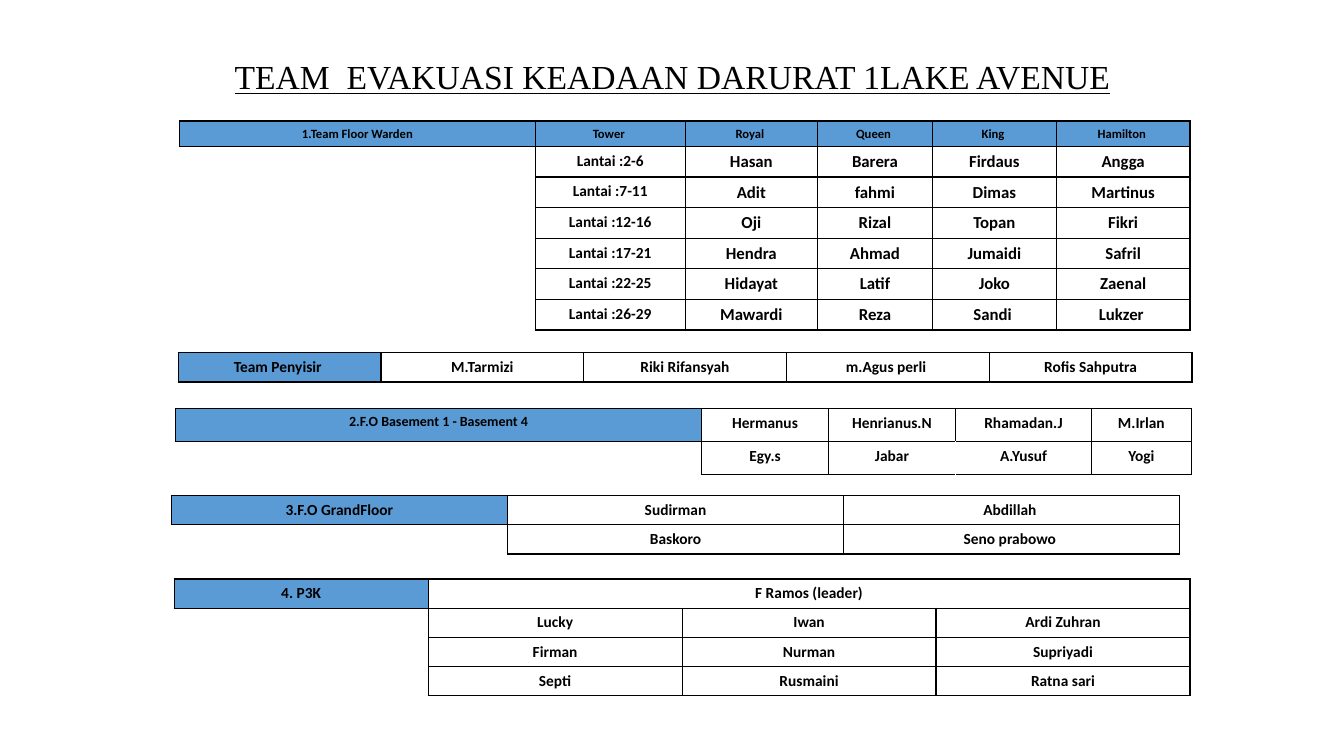
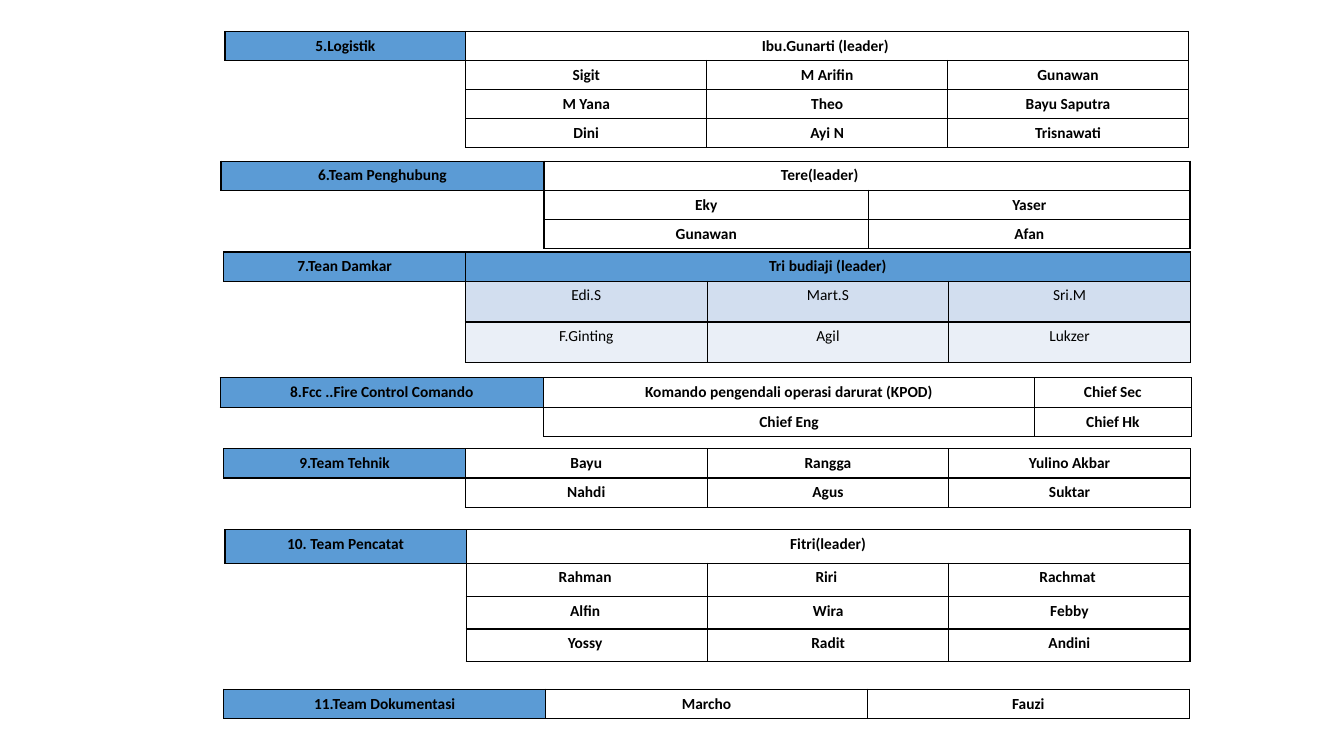
from lxml import etree
from pptx import Presentation
from pptx.dml.color import RGBColor
from pptx.enum.text import MSO_ANCHOR, PP_ALIGN
from pptx.oxml.ns import qn
from pptx.util import Cm, Pt

CENTER, RIGHT = PP_ALIGN.CENTER, PP_ALIGN.RIGHT
MIDDLE = MSO_ANCHOR.MIDDLE
BLACK, WHITE, BLUE = "000000", "FFFFFF", "5B9BD5"
PALE_BLUES = ("D2DEEF", "EAEFF7")
TITLE_FONT, TABLE_FONT = "Times New Roman", "Calibri"
PLAIN_TABLE_STYLE = "{2D5ABB26-0587-4C30-8999-92F81FD0307C}"
TITLE_ONLY, BLANK = 5, 6
ROW_HEIGHT = 0.73


def rgb(color):
    return RGBColor.from_string(color)


def set_borders(cell, colors):
    """Draw 1 pt cell edges; colors maps L, R, T and B to a hex colour, other edges are hidden."""
    properties = cell._tc.get_or_add_tcPr()
    for side in "LRTB":
        line = etree.SubElement(properties, qn(f"a:ln{side}"), w=str(Pt(1)))
        if side in colors:
            fill = etree.SubElement(line, qn("a:solidFill"))
            etree.SubElement(fill, qn("a:srgbClr"), val=colors[side])
        else:
            etree.SubElement(line, qn("a:noFill"))


# Lengths are centimetres. None marks an empty cell; a leader shares an open band in row 0.
floor_teams = [
    dict(
        at=(4.52, 3.05), columns=[8.97, 3.78, 3.33, 2.9, 3.12, 3.37],
        heights=[0.64] + [0.77] * 6, header_columns=6,
        size=lambda row, column: 9 if row == 0 else 11 if column == 1 else 12,
        rows=[
            ["1.Team Floor Warden", "Tower ", "Royal ", "Queen ", "King ", "Hamilton "],
            [None, "Lantai :2-6", "Hasan", "Barera", "Firdaus", "Angga"],
            [None, "Lantai :7-11", "Adit", "fahmi", "Dimas", "Martinus"],
            [None, "Lantai :12-16", "Oji", "Rizal", "Topan", "Fikri"],
            [None, "Lantai :17-21", "Hendra", "Ahmad", "Jumaidi", "Safril"],
            [None, "Lantai :22-25", "Hidayat", "Latif", "Joko", "Zaenal"],
            [None, "Lantai :26-29", "Mawardi", "Reza", "Sandi ", "Lukzer "],
        ],
    ),
    dict(
        at=(4.49, 8.89), columns=[5.11] * 5,
        rows=[["Team Penyisir ", "M.Tarmizi", "Riki Rifansyah", "m.Agus perli ", "Rofis Sahputra"]],
    ),
    dict(
        at=(4.42, 10.29), columns=[13.26, 3.2, 3.2, 3.43, 2.51], heights=[0.83, 0.84],
        size=lambda row, column: 10 if column == 0 else 11,
        white_edges={(1, 2): "R", (1, 3): "L"},
        rows=[
            ["2.F.O Basement 1 - Basement 4", "Hermanus", "Henrianus.N", "Rhamadan.J", "M.Irlan"],
            [None, "Egy.s", "Jabar", "A.Yusuf", "Yogi"],
        ],
    ),
    dict(
        at=(4.32, 12.49), columns=[8.47] * 3,
        rows=[
            ["3.F.O GrandFloor", "Sudirman", "Abdillah "],
            [None, "Baskoro", "Seno prabowo "],
        ],
    ),
    dict(
        at=(4.39, 14.59), columns=[6.4] * 4,
        rows=[
            ["4. P3K", None, "F Ramos (leader)", None],
            [None, "Lucky", "Iwan", "Ardi Zuhran"],
            [None, "Firman", "Nurman", "Supriyadi"],
            [None, "Septi", "Rusmaini", "Ratna sari"],
        ],
    ),
]

support_teams = [
    dict(
        at=(5.67, 0.79), columns=[6.07] * 4,
        rows=[
            ["5.Logistik", None, "Ibu.Gunarti (leader) ", None],
            [None, "Sigit", "M Arifin", "Gunawan"],
            [None, "M Yana", "Theo", "Bayu Saputra"],
            [None, "Dini", "Ayi N", "Trisnawati"],
        ],
    ),
    dict(
        at=(5.57, 4.06), columns=[8.14, 8.18, 8.1], leader=RIGHT,
        rows=[
            ["6.Team Penghubung", "Tere(leader)", None],
            [None, "Eky", "Yaser"],
            [None, "Gunawan", "Afan"],
        ],
    ),
    dict(
        at=(5.64, 6.35), columns=[6.09] * 4, heights=[ROW_HEIGHT, 1.03, 1.02],
        header_columns=4, bands=PALE_BLUES,
        rows=[
            ["7.Tean Damkar", None, "Tri budiaji (leader)", None],
            [None, "Edi.S", "Mart.S", "Sri.M"],
            [None, "F.Ginting", "Agil", "Lukzer"],
        ],
    ),
    dict(
        at=(5.55, 9.52), columns=[8.15, 12.37, 3.95], heights=[0.74, ROW_HEIGHT],
        rows=[
            ["8.Fcc ..Fire Control Comando", "Komando pengendali operasi darurat (KPOD)", "Chief Sec"],
            [None, "Chief Eng", "Chief Hk"],
        ],
    ),
    dict(
        at=(5.64, 11.31), columns=[6.09] * 4,
        rows=[
            ["9.Team Tehnik", "Bayu", "Rangga", "Yulino Akbar"],
            [None, "Nahdi", "Agus", "Suktar"],
        ],
    ),
    dict(
        at=(5.67, 13.35), columns=[6.08] * 4, heights=[0.84, 0.84, 0.82, 0.82],
        rows=[
            ["10. Team Pencatat", None, "Fitri(leader)", None],
            [None, "Rahman ", "Riri ", "Rachmat "],
            [None, "Alfin ", "Wira", "Febby"],
            [None, "Yossy ", "Radit", "Andini"],
        ],
    ),
    dict(
        at=(5.64, 17.37), columns=[8.11] * 3,
        rows=[["11.Team Dokumentasi", "Marcho", "Fauzi"]],
    ),
]

presentation = Presentation()
presentation.slide_width, presentation.slide_height = Cm(33.87), Cm(19.05)

floor_slide = presentation.slides.add_slide(presentation.slide_layouts[TITLE_ONLY])
title = floor_slide.shapes.title
title.left, title.top, title.width, title.height = Cm(2.34), Cm(1.02), Cm(29.21), Cm(1.93)
title.text_frame.vertical_anchor = MIDDLE
paragraph = title.text_frame.paragraphs[0]
paragraph.alignment = CENTER
paragraph.line_spacing = 0.9
run = paragraph.add_run()
run.text = "TEAM  EVAKUASI KEADAAN DARURAT 1LAKE AVENUE"
run.font.name, run.font.size, run.font.underline = TITLE_FONT, Pt(24), True
run.font.color.rgb = rgb(BLACK)

support_slide = presentation.slides.add_slide(presentation.slide_layouts[BLANK])

for slide, teams in ((floor_slide, floor_teams), (support_slide, support_teams)):
    for team in teams:
        rows, columns = team["rows"], team["columns"]
        heights = team.get("heights", [ROW_HEIGHT] * len(rows))
        left, top = team["at"]
        frame = slide.shapes.add_table(
            len(rows), len(columns), Cm(left), Cm(top), Cm(sum(columns)), Cm(sum(heights)))
        table = frame.table
        table.first_row = table.horz_banding = False
        table._tbl.tblPr.find(qn("a:tableStyleId")).text = PLAIN_TABLE_STYLE
        for column, width in zip(table.columns, columns):
            column.width = Cm(width)
        for row, height in zip(table.rows, heights):
            row.height = Cm(height)

        bands = team.get("bands")
        has_leader = None in rows[0]
        last_column = len(columns) - 1

        for r, names in enumerate(rows):
            for c, name in enumerate(names):
                cell = table.cell(r, c)
                outside = r > 0 and c == 0
                if outside:
                    sides = "RT" if r == 1 else "R"
                elif has_leader and r == 0 and c > 0:
                    sides = "TB" + ("L" if c == 1 else "") + ("R" if c == last_column else "")
                else:
                    sides = "LRTB"
                white_side = team.get("white_edges", {}).get((r, c))
                set_borders(cell, {side: WHITE if side == white_side else BLACK for side in sides})

                if r == 0 and c < team.get("header_columns", 1):
                    color = BLUE
                elif bands:
                    color = WHITE if outside else bands[r - 1]
                else:
                    color = None
                if color:
                    cell.fill.solid()
                    cell.fill.fore_color.rgb = rgb(color)
                else:
                    cell.fill.background()

                paragraph = cell.text_frame.paragraphs[0]
                size = team["size"](r, c) if "size" in team else 11
                if name is None:
                    etree.SubElement(paragraph._p, qn("a:endParaRPr"), sz=str(size * 100))
                    continue
                is_leader = has_leader and r == 0 and c > 0
                paragraph.alignment = team.get("leader", CENTER) if is_leader else CENTER
                run = paragraph.add_run()
                run.text = name
                run.font.name, run.font.size = TABLE_FONT, Pt(size)
                run.font.bold = r == 0 or not bands
                run.font.color.rgb = rgb(BLACK)

presentation.save("out.pptx")
